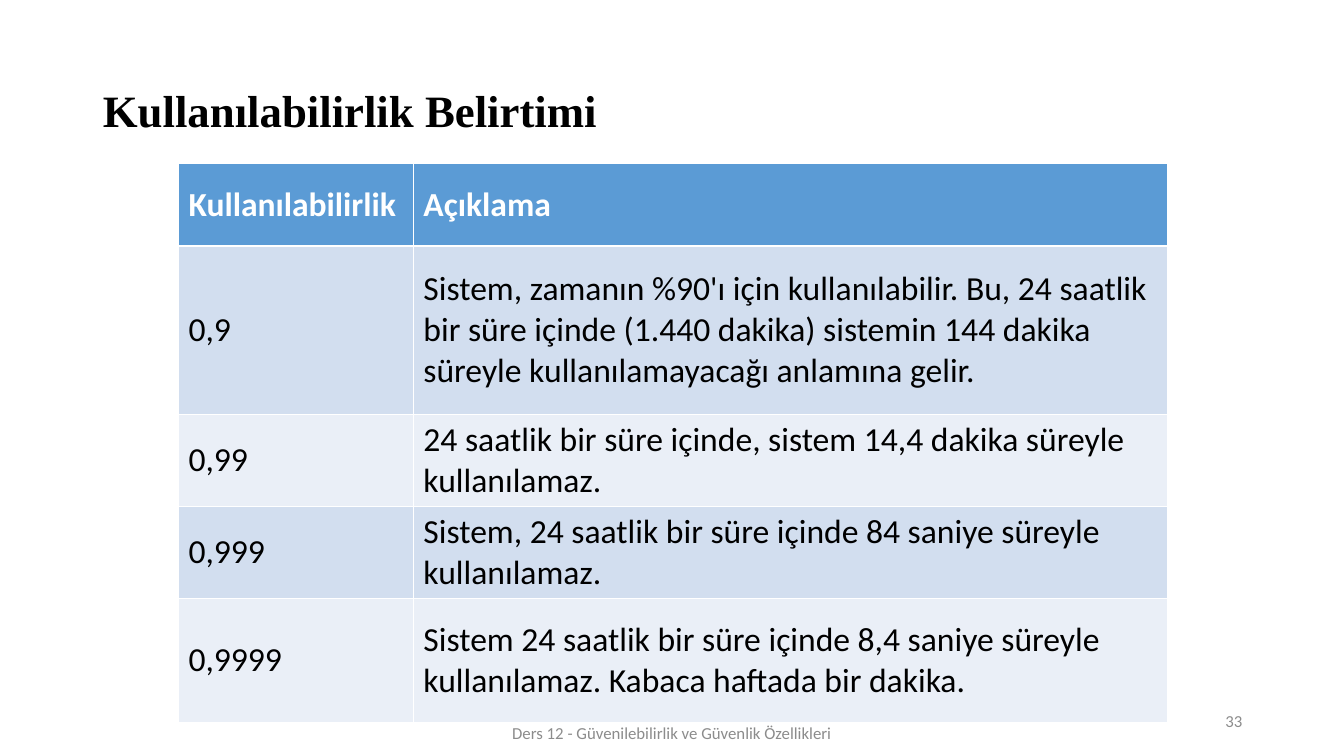
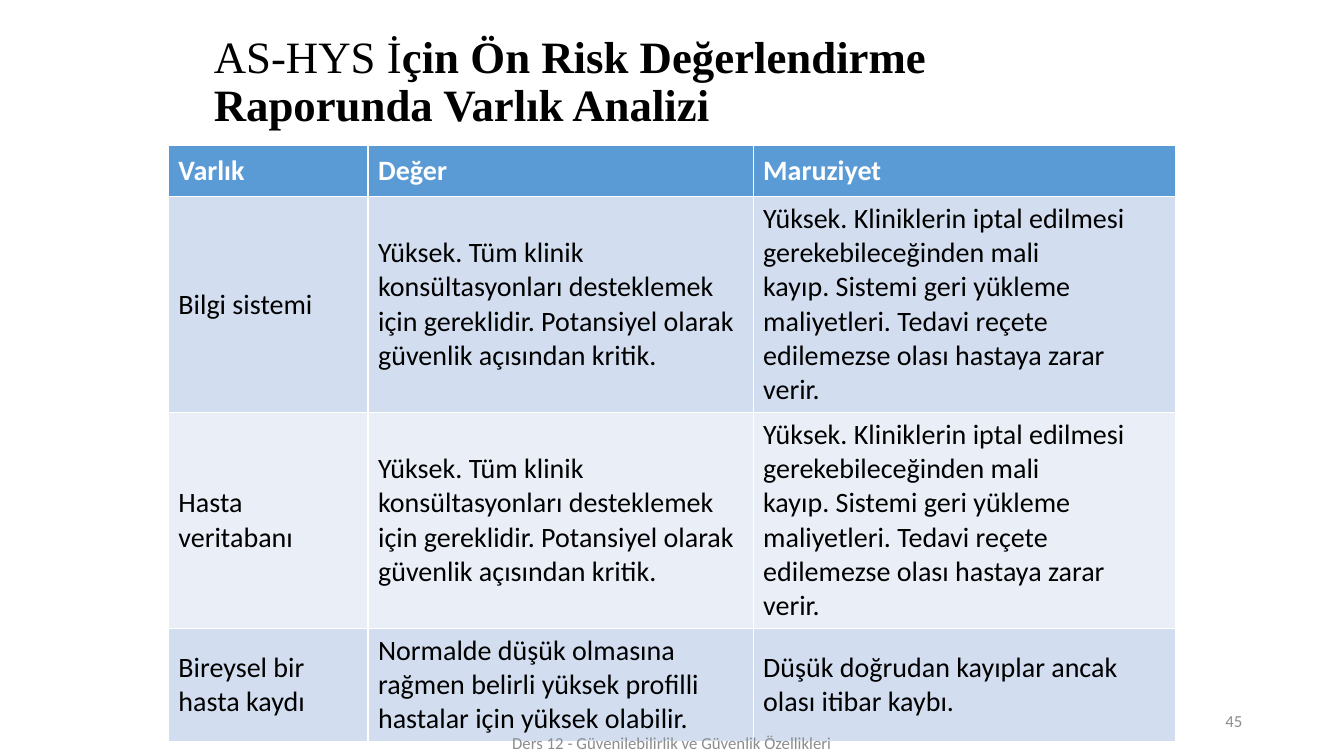
from dataclasses import dataclass

from pptx import Presentation
from pptx.dml.color import RGBColor
from pptx.enum.text import MSO_ANCHOR, MSO_AUTO_SIZE, PP_ALIGN
from pptx.util import Inches, Pt

MIDDLE = MSO_ANCHOR.MIDDLE
LEFT, CENTER, RIGHT = PP_ALIGN.LEFT, PP_ALIGN.CENTER, PP_ALIGN.RIGHT
NO_AUTOFIT = MSO_AUTO_SIZE.NONE
TITLE_ONLY = 5
NO_BREAK_SPACE = chr(160)


@dataclass(frozen=True)
class Theme:
    title_font: str = "Times New Roman"
    body_font: str = "Calibri"
    title_size: int = 32
    footer_size: int = 12
    black: str = "000000"
    white: str = "FFFFFF"
    gray: str = "8C8C8C"
    header_fill: str = "5B9BD5"
    band_fills: tuple = ("D2DEEF", "EAEFF7")


def join_sentences(*sentences):
    return NO_BREAK_SPACE.join(sentences)


THEME = Theme()
FOOTER = "Ders 12 - Güvenilebilirlik ve Güvenlik Özellikleri"

AVAILABILITY_ROWS = [
    ("Kullanılabilirlik", "Açıklama"),
    ("0,9", join_sentences(
        "Sistem, zamanın %90'ı için kullanılabilir.",
        "Bu, 24 saatlik bir süre içinde (1.440 dakika) sistemin 144 dakika "
        "süreyle kullanılamayacağı anlamına gelir.")),
    ("0,99", "24 saatlik bir süre içinde, sistem 14,4 dakika süreyle kullanılamaz."),
    ("0,999", "Sistem, 24 saatlik bir süre içinde 84 saniye süreyle kullanılamaz."),
    ("0,9999", join_sentences(
        "Sistem 24 saatlik bir süre içinde 8,4 saniye süreyle kullanılamaz.",
        "Kabaca haftada bir dakika.")),
]

HIGH_VALUE = join_sentences(
    "Yüksek.",
    "Tüm klinik konsültasyonları desteklemek için gereklidir.",
    "Potansiyel olarak güvenlik açısından kritik.")
HIGH_EXPOSURE = join_sentences(
    "Yüksek.",
    "Kliniklerin iptal edilmesi gerekebileceğinden mali kayıp.",
    "Sistemi geri yükleme maliyetleri.",
    "Tedavi reçete edilemezse olası hastaya zarar verir.")
ASSET_ROWS = [
    ("Varlık", "Değer", "Maruziyet"),
    ("Bilgi sistemi", HIGH_VALUE, HIGH_EXPOSURE),
    ("Hasta veritabanı", HIGH_VALUE, HIGH_EXPOSURE),
    ("Bireysel bir hasta kaydı",
     "Normalde düşük olmasına rağmen belirli yüksek profilli hastalar için yüksek olabilir.",
     "Düşük doğrudan kayıplar ancak olası itibar kaybı."),
]


def add_span(para, text, *, size, font=THEME.body_font, color=THEME.black, bold=False):
    span = para.add_run()
    span.text = text
    span.font.name = font
    span.font.size = Pt(size)
    span.font.bold = bold
    span.font.color.rgb = RGBColor.from_string(color)


def set_title(page, spans, left, top, width, height):
    title = page.shapes.title
    title.left, title.top = Inches(left), Inches(top)
    title.width, title.height = Inches(width), Inches(height)
    frame = title.text_frame
    frame.word_wrap = True
    frame.auto_size = NO_AUTOFIT
    frame.vertical_anchor = MIDDLE
    para = frame.paragraphs[0]
    para.alignment = LEFT
    para.line_spacing = 0.9
    for text, bold in spans:
        add_span(para, text, size=THEME.title_size, font=THEME.title_font, bold=bold)


def add_footer_text(page, text, left, top, width, align):
    box = page.shapes.add_textbox(Inches(left), Inches(top), Inches(width), Inches(0.4))
    frame = box.text_frame
    frame.word_wrap = True
    frame.vertical_anchor = MIDDLE
    para = frame.paragraphs[0]
    para.alignment = align
    add_span(para, text, size=THEME.footer_size, color=THEME.gray)


def add_footer(page, number, top):
    add_footer_text(page, number, 9.42, 6.95, 3, RIGHT)
    add_footer_text(page, FOOTER, 4.5, top, 4.33, CENTER)


def add_banded_table(page, rows, left, top, widths, heights, size):
    table = page.shapes.add_table(
        len(rows), len(widths), Inches(left), Inches(top),
        Inches(sum(widths)), Inches(sum(heights))).table
    for column, width in zip(table.columns, widths):
        column.width = Inches(width)
    for index, (row, height, texts) in enumerate(zip(table.rows, heights, rows)):
        row.height = Inches(height)
        header = index == 0
        fill = THEME.header_fill if header else THEME.band_fills[(index - 1) % 2]
        for cell, text in zip(row.cells, texts):
            cell.fill.solid()
            cell.fill.fore_color.rgb = RGBColor.from_string(fill)
            cell.vertical_anchor = MIDDLE
            add_span(cell.text_frame.paragraphs[0], text, size=size, bold=header,
                     color=THEME.white if header else THEME.black)


def add_page(deck):
    return deck.slides.add_slide(deck.slide_layouts[TITLE_ONLY])


def build_availability(deck):
    page = add_page(deck)
    set_title(page, [("Kullanılabilirlik Belirtimi", True)], 0.92, 0.4, 11.5, 1.45)
    add_banded_table(page, AVAILABILITY_ROWS, 1.77, 1.62, (2.33, 7.48),
                     (0.82, 1.67, 0.78, 0.78, 1.23), 24)
    add_footer(page, "33", 7.07)


def build_asset_analysis(deck):
    page = add_page(deck)
    set_title(page, [("AS-HYS İ", False),
                     ("çin Ön Risk Değerlendirme Raporunda Varlık Analizi", True)],
              2.02, 0.2, 7.98, 1.25)
    add_banded_table(page, ASSET_ROWS, 1.67, 1.44, (1.98, 3.82, 4.19),
                     (0.51, 1.92, 1.92, 1.06), 20)
    add_footer(page, "45", 7.17)


def main():
    deck = Presentation()
    deck.slide_width, deck.slide_height = Inches(13.33), Inches(7.5)
    build_availability(deck)
    build_asset_analysis(deck)
    deck.save("out.pptx")


if __name__ == "__main__":
    main()
